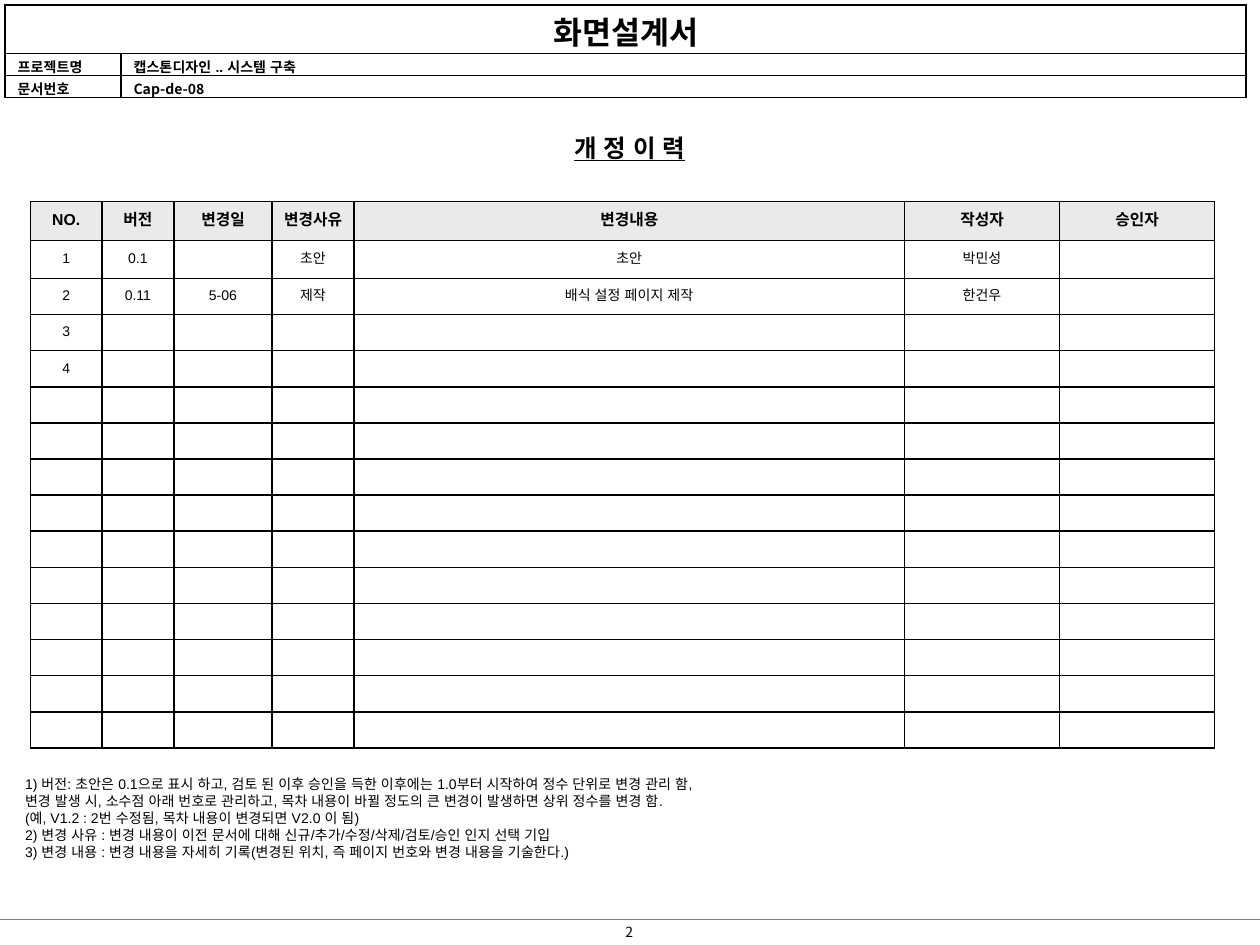
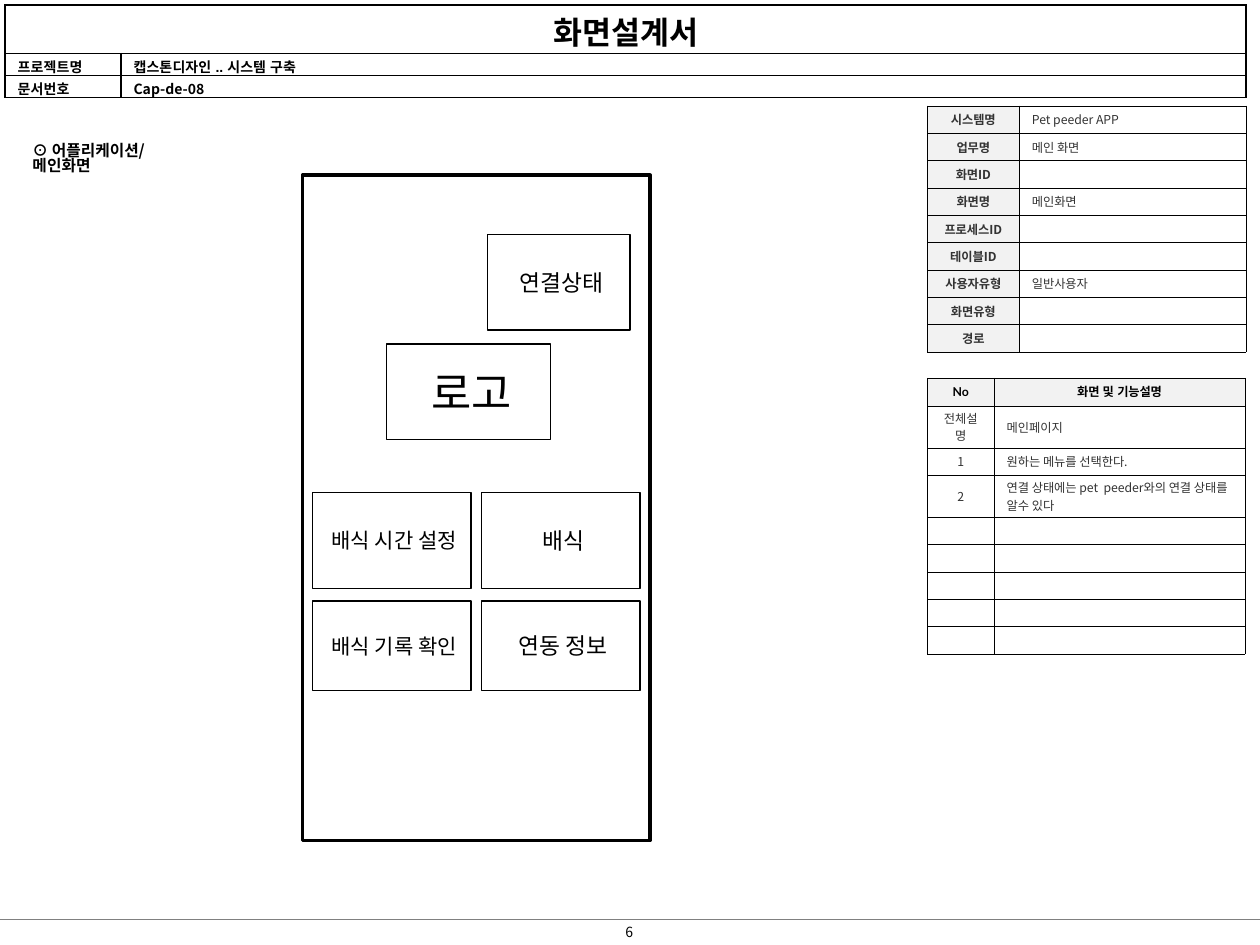
from lxml import etree
from pptx import Presentation, util as u
from pptx.dml.color import RGBColor
from pptx.enum import shapes, text
from pptx.oxml.ns import qn

COLS, ROWS = 100, 75
NOTO, ARIAL, LATO = "Noto Sans CJK KR", "Arial", "Lato"
BLACK, WHITE, GREY, INK = "000000", "FFFFFF", "808080", "333333"
HEAD, PALE = "EAEAEA", "F2F2F2"
LEFT, MID = text.PP_ALIGN.LEFT, text.PP_ALIGN.CENTER


def tint(code):
    """Turn a hex string into a colour."""
    return RGBColor.from_string(code)


class Deck:
    """Holds the shared style and the current slide."""

    def __init__(self):
        """Open an empty deck of 10 by 7.5 inches."""
        self.file = Presentation()
        self.file.slide_width = u.Inches(10)
        self.file.slide_height = u.Inches(7.5)
        self.slide = None

    def x(self, cols):
        """Width of a number of grid columns."""
        return round(self.file.slide_width * cols / COLS)

    def y(self, rows):
        """Height of a number of grid rows."""
        return round(self.file.slide_height * rows / ROWS)

    def area(self, left, top, wide, high):
        """Place and size of a grid area."""
        return self.x(left), self.y(top), self.x(wide), self.y(high)

    def style(self, par, size, font=NOTO, bold=False, ink=BLACK, align=LEFT):
        """Format one paragraph and its runs."""
        par.alignment = align
        for run in par.runs:
            run.font.size, run.font.bold, run.font.name = u.Pt(size), bold, font
            run.font.color.rgb = tint(ink)
            east = etree.SubElement(run._r.get_or_add_rPr(), qn("a:ea"))
            east.set("typeface", font)
        if not par.runs:
            end = etree.SubElement(par._p, qn("a:endParaRPr"))
            end.set("sz", str(size * 100))

    def label(self, area, words, size, **look):
        """Add a text box and return its paragraphs."""
        frame = self.slide.shapes.add_textbox(*self.area(*area)).text_frame
        frame.word_wrap = True
        frame.text = words
        for par in frame.paragraphs:
            self.style(par, size, **look)
        return frame.paragraphs

    def rule(self, row):
        """Add a grey line across the slide."""
        line = self.slide.shapes.add_connector(
            shapes.MSO_CONNECTOR.STRAIGHT, 0, self.y(row), self.x(COLS), self.y(row))
        line.line.color.rgb, line.line.width = tint(GREY), u.Pt(0.75)
        etree.SubElement(line._element.spPr, qn("a:effectLst"))

    def box(self, area, words="", size=13, width=0.75, fill=True):
        """Add an outlined box with centred words."""
        box = self.slide.shapes.add_shape(
            shapes.MSO_SHAPE.RECTANGLE, *self.area(*area))
        box.shadow.inherit = False
        if fill:
            box.fill.solid()
            box.fill.fore_color.rgb = tint(WHITE)
        else:
            box.fill.background()
        box.line.color.rgb, box.line.width = tint(BLACK), u.Pt(width)
        frame = box.text_frame
        frame.margin_left, frame.margin_right = self.x(0.8), self.x(0.4)
        frame.vertical_anchor = text.MSO_ANCHOR.MIDDLE
        frame.text = words
        self.style(frame.paragraphs[0], size, align=MID)

    def table(self, spot, cols, rows, edge):
        """Add a plain table of the given grid sizes."""
        area = self.area(*spot, sum(cols), sum(rows))
        table = self.slide.shapes.add_table(len(rows), len(cols), *area).table
        table.first_row = table.horz_banding = False
        for col, wide in zip(table.columns, cols):
            col.width = self.x(wide)
        for row, high in zip(table.rows, rows):
            row.height = self.y(high)
        for cell in table.iter_cells():
            self.edge(cell, edge)
        return table

    def edge(self, cell, width):
        """Draw the four borders of a cell."""
        props = cell._tc.get_or_add_tcPr()
        for side in ("lnL", "lnR", "lnT", "lnB"):
            line = etree.SubElement(props, qn(f"a:{side}"), w=str(u.Pt(width)))
            fill = etree.SubElement(line, qn("a:solidFill"))
            etree.SubElement(fill, qn("a:srgbClr"), val=BLACK)

    def cell(self, cell, words, size, fill=WHITE, pad=(1, 0.2, 0.2),
             anchor=text.MSO_ANCHOR.MIDDLE, **look):
        """Fill and format one table cell."""
        cell.fill.solid()
        cell.fill.fore_color.rgb = tint(fill)
        cell.margin_left = cell.margin_right = self.x(pad[0])
        cell.margin_top, cell.margin_bottom = self.y(pad[1]), self.y(pad[2])
        cell.vertical_anchor = anchor
        cell.text = words
        self.style(cell.text_frame.paragraphs[0], size, **look)

    def page(self, number):
        """Start a slide with its header table and footer."""
        self.slide = self.file.slides.add_slide(self.file.slide_layouts[6])
        self.rule(73)
        self.label((47.2, 72.8, 5.5, 2.4), number, 8, align=MID)
        table = self.table((0.4, 0.4), (9.2, 89.3), (3.85, 1.75, 1.75), 1)
        table.cell(0, 0).merge(table.cell(0, 1))
        look = dict(pad=(1, 0.2, 0), bold=True, anchor=text.MSO_ANCHOR.BOTTOM)
        self.cell(table.cell(0, 0), "화면설계서", 18, align=MID, **look)
        facts = (("프로젝트명", "캡스톤디자인 .. 시스템 구축"),
                 ("문서번호", "Cap-de-08"))
        for r, fact in enumerate(facts, 1):
            for c, words in enumerate(fact):
                font = NOTO if words.isascii() else ARIAL
                self.cell(table.cell(r, c), words, 8, font=font, **look)


def history(deck):
    """Build the revision history slide."""
    deck.page("2")
    head = deck.label((0, 10.1, 100, 3.4), "개 정 이 력", 14,
                      font=ARIAL, bold=True, align=MID)
    head[0].runs[0].font.underline = True
    notes = (
        "1) 버전: 초안은 0.1으로 표시 하고, 검토 된 이후 승인을 득한 이후에는 1.0부터 시작하여 정수 단위로 변경 관리 함,",
        "변경 발생 시, 소수점 아래 번호로 관리하고, 목차 내용이 바뀔 정도의 큰 변경이 발생하면 상위 정수를 변경 함.",
        "(예, V1.2 : 2번 수정됨, 목차 내용이 변경되면 V2.0 이 됨)",
        "2) 변경 사유 : 변경 내용이 이전 문서에 대해 신규/추가/수정/삭제/검토/승인 인지 선택 기입",
        "3) 변경 내용 : 변경 내용을 자세히 기록(변경된 위치, 즉 페이지 번호와 변경 내용을 기술한다.)")
    deck.label((1, 61.1, 90.1, 7.7), "\n".join(notes), 8, font=ARIAL)
    data = [("NO.", "버전", "변경일", "변경사유", "변경내용", "작성자", "승인자"),
            ("1", "0.1", "", "초안", "초안", "박민성", ""),
            ("2", "0.11", "5-06", "제작", "배식 설정 페이지 제작", "한건우", ""),
            ("3",) + ("",) * 6, ("4",) + ("",) * 6]
    data += [("",) * 7] * 10
    table = deck.table((2.4, 16), (5.7, 5.7, 7.8, 6.5, 43.7, 12.3, 12.3),
                       [3.1, 3] + [2.87] * 13, 1)
    for r, row in enumerate(data):
        for c, words in enumerate(row):
            top = r == 0
            deck.cell(table.cell(r, c), words, 9 if top else 8, font=ARIAL,
                      fill=HEAD if top else WHITE, bold=top,
                      pad=(0.4, 0, 0.1), align=MID)


def screen(deck):
    """Build the main screen slide."""
    deck.page("6")
    about = ("화면 및 기능설명", "메인페이지", "원하는 메뉴를 선택한다.",
             "연결 상태에는 pet  peeder와의 연결 상태를 알수 있다")
    marks = ("No", "전체설명", "1", "2")
    rows = list(zip(marks, about)) + [("", "")] * 5
    table = deck.table((73.6, 30), (5.3, 19.9),
                       [2.2, 3.35, 2.15, 3.35] + [2.17] * 5, 0.25)
    for r, row in enumerate(rows):
        for c, words in enumerate(row):
            top = r == 0
            font = (LATO, ARIAL)[c] if top else NOTO
            deck.cell(table.cell(r, c), words, 7, font=font, bold=top,
                      fill=PALE if top else WHITE, ink=BLACK if top else INK,
                      align=MID if top or c == 0 else LEFT)
    facts = {"시스템명": "Pet peeder APP", "업무명": "메인 화면", "화면ID": "",
             "화면명": "메인화면", "프로세스ID": "", "테이블ID": "",
             "사용자유형": "일반사용자", "화면유형": "", "경로": ""}
    table = deck.table((73.6, 8.4), (7.3, 18), [2.17] * len(facts), 0.25)
    for r, (key, value) in enumerate(facts.items()):
        deck.cell(table.cell(r, 0), key, 7, fill=PALE, bold=True, ink=INK, align=MID)
        deck.cell(table.cell(r, 1), value, 7, ink=INK)
    head = deck.label((1.6, 10.9, 14, 4), "⊙ 어플리케이션/ 메인화면", 9, bold=True)
    head[0].line_spacing = 0.83
    deck.box((30.7, 27.3, 13, 7.6), "로고", 25)
    deck.box((38.7, 18.6, 11.3, 7.6), "연결상태")
    menu = ((39.1, 7.6, ("배식 시간 설정", "배식")),
            (47.7, 7.1, ("배식 기록 확인", "연동 정보")))
    for top, high, names in menu:
        for c, name in enumerate(names):
            deck.box((24.8 + 13.4 * c, top, 12.6, high), name, 12 + c)
    deck.box((24, 13.9, 27.6, 52.8), width=2, fill=False)


def main():
    """Build both slides and save the deck."""
    deck = Deck()
    history(deck)
    screen(deck)
    deck.file.save("out.pptx")


if __name__ == "__main__":
    main()
